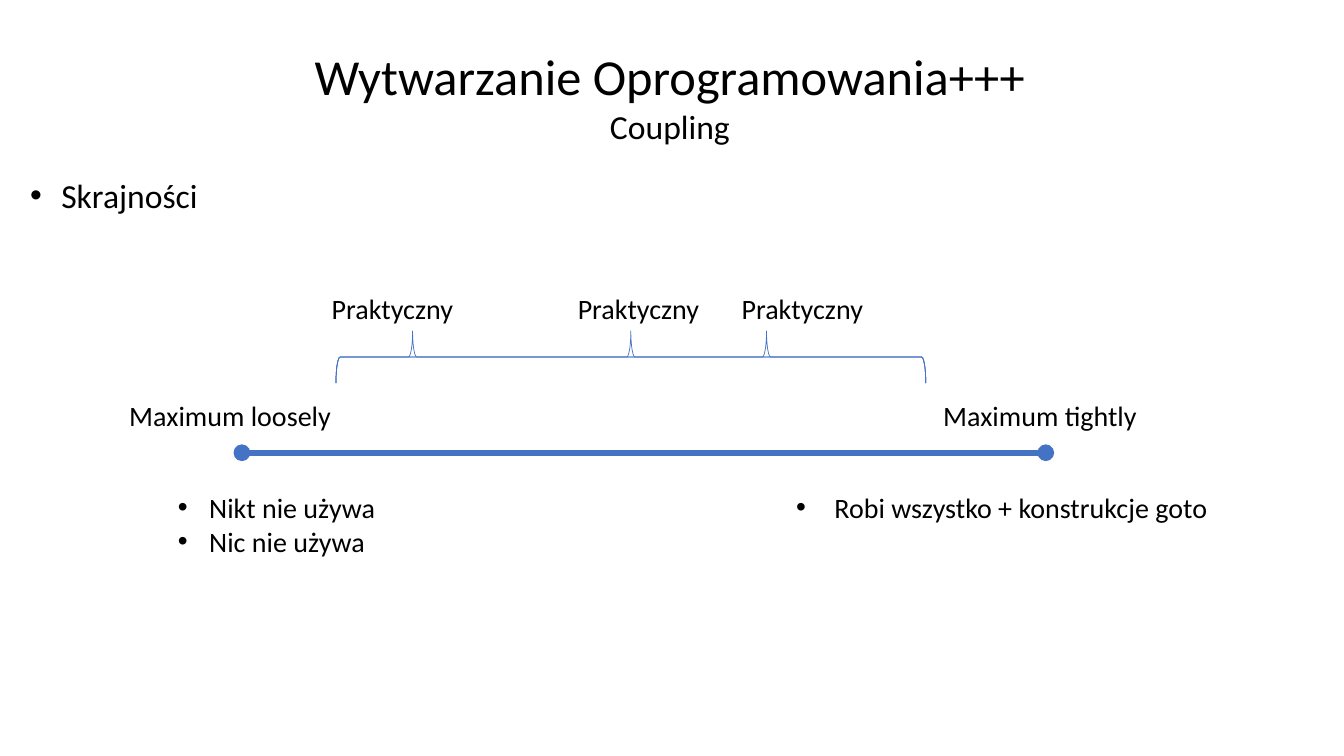
from lxml.etree import SubElement
from pptx import Presentation
from pptx.dml.color import RGBColor
from pptx.enum.shapes import MSO_CONNECTOR, MSO_SHAPE
from pptx.enum.text import MSO_AUTO_SIZE, PP_ALIGN
from pptx.oxml.ns import qn
from pptx.util import Inches, Pt

COLORS = {"text": "000000", "accent": "4472C4"}
FONT = "Calibri"
COLUMNS, ROWS = 160, 90


class CouplingSlide:
    """Holds the style and the slide, placing elements on a 160 x 90 grid."""

    def __init__(self, deck):
        self.slide = deck.slides.add_slide(deck.slide_layouts[6])
        self.column = deck.slide_width / COLUMNS
        self.row = deck.slide_height / ROWS

    def place(self, left, top, *size):
        """Turn grid columns and rows into slide lengths."""
        steps = (self.column, self.row) * 2
        return [round(n * step) for n, step in zip((left, top, *size), steps)]

    def text(self, box, lines, sizes=(20,), align=PP_ALIGN.LEFT,
             level=0, indent=0, hanging=0):
        """Add a text box; a hanging indent in inches brings bullets."""
        frame = self.slide.shapes.add_textbox(*self.place(*box)).text_frame
        frame.word_wrap = False
        frame.auto_size = MSO_AUTO_SIZE.SHAPE_TO_FIT_TEXT
        frame.text = "\n".join(lines)
        for index, paragraph in enumerate(frame.paragraphs):
            paragraph.alignment = align
            paragraph.level = level
            properties = paragraph._p.get_or_add_pPr()
            properties.set("marL", str(Inches(indent)))
            properties.set("indent", str(-Inches(hanging)))
            if hanging:
                SubElement(properties, qn("a:buFont"), typeface="Arial")
                SubElement(properties, qn("a:buChar"), char="•")
            font = paragraph.runs[0].font
            font.name = FONT
            font.size = Pt(sizes[index % len(sizes)])
            font.color.rgb = RGBColor.from_string(COLORS["text"])

    def stroke(self, line, width):
        """Give a line the accent colour and a width in points."""
        line.color.rgb = RGBColor.from_string(COLORS["accent"])
        line.width = Pt(width)

    def scale(self, start, end):
        """Add the thick scale line with a dot at both ends."""
        axis = self.slide.shapes.add_connector(
            MSO_CONNECTOR.STRAIGHT, *self.place(*start), *self.place(*end))
        self.stroke(axis.line, 4)
        for dot in ("a:headEnd", "a:tailEnd"):
            SubElement(axis.line._get_or_add_ln(), qn(dot), type="oval")
        SubElement(axis._element.spPr, qn("a:effectLst"))

    def brace(self, box, tip):
        """Add a brace turned upwards, its tip at a share of its span."""
        brace = self.slide.shapes.add_shape(
            MSO_SHAPE.RIGHT_BRACE, *self.place(*box))
        brace.rotation = 270
        brace.adjustments[0] = 0.08
        brace.adjustments[1] = tip
        brace.shadow.inherit = False
        brace.fill.background()
        self.stroke(brace.line, 0.5)


deck = Presentation()
deck.slide_width, deck.slide_height = Inches(13.33), Inches(7.5)
coupling = CouplingSlide(deck)

coupling.text((35.9, 4.8, 87.7, 13.3),
              ["Wytwarzanie Oprogramowania+++", "Coupling"],
              sizes=(36, 24), align=PP_ALIGN.CENTER)
coupling.text((2.4, 20.2, 22.6, 9.7), ["Skrajności"], sizes=(24,),
              indent=0.31, hanging=0.31)

coupling.scale((28.8, 53.9), (124.5, 53.9))
for left, width, extreme in ((8.2, 32.8, "Maximum loosely"),
                             (105.1, 31.8, "Maximum tightly")):
    coupling.text((left, 46.9, width, 5.3), [extreme], level=1, indent=0.5)

for left, tip in ((32.3, 0.13), (61.6, 0.5), (81.1, 0.73)):
    coupling.brace((72, 7.4, 6.2, 70.2), tip)
    coupling.text((left, 34.1, 23, 5.3), ["Praktyczny"], level=1, indent=0.5)

coupling.text((8, 57.8, 38.3, 13.3), ["Nikt nie używa", "Nic nie używa"],
              level=2, indent=1.31, hanging=0.31)
coupling.text((93.6, 57.8, 51.7, 9.2), ["Robi wszystko + konstrukcje goto"],
              indent=0.38, hanging=0.38)

deck.save("out.pptx")
